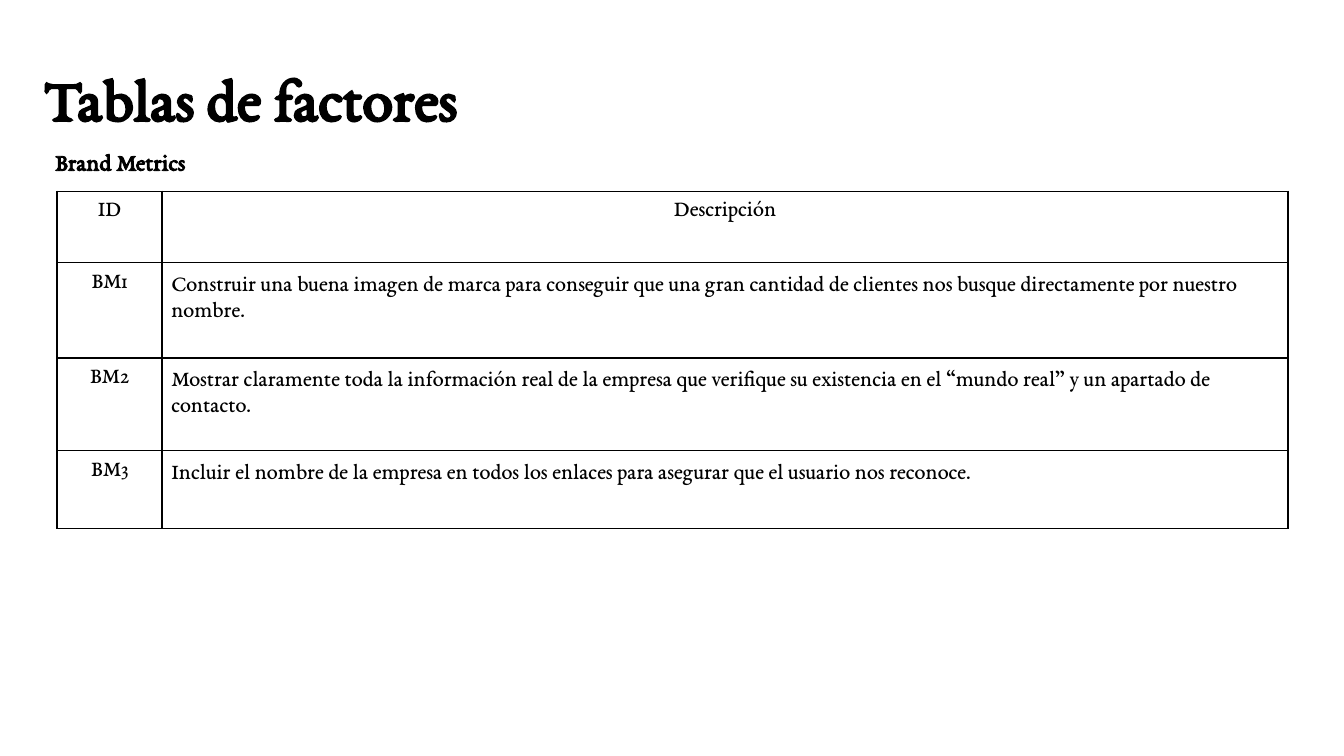
from lxml.etree import SubElement
from pptx import Presentation
from pptx.dml.color import RGBColor
from pptx.enum.text import MSO_ANCHOR as Anchor, PP_ALIGN as Align
from pptx.oxml.ns import qn
from pptx.util import Pt

FONT = "EB Garamond"
BLACK = "000000"
COLUMN_WIDTHS = (56.2, 603.3)
ROW_HEIGHTS = (38.2, 51.1, 49.7, 41.8)
HEADINGS = ("ID", "Descripción")
METRICS = (
    "Construir una buena imagen de marca para conseguir que una gran cantidad "
    "de clientes nos busque directamente por nuestro nombre.",
    "Mostrar claramente toda la información real de la empresa que verifique su "
    "existencia en el “mundo real” y un apartado de contacto.",
    "Incluir el nombre de la empresa en todos los enlaces para asegurar que el "
    "usuario nos reconoce.",
)


def colour(value):
    return RGBColor.from_string(value)


def write(frame, text, size=12, bold=False, align=Align.LEFT, spacing=1.15,
          anchor=Anchor.TOP, inset=7.2):
    frame.word_wrap = True
    frame.vertical_anchor = anchor
    frame.margin_left = frame.margin_right = Pt(inset)
    frame.margin_top = frame.margin_bottom = Pt(inset)
    para = frame.paragraphs[0]
    para.alignment = align
    para.line_spacing = spacing
    span = para.add_run()
    span.text = text
    span.font.name = FONT
    span.font.size = Pt(size)
    span.font.bold = bold
    span.font.color.rgb = colour(BLACK)


def add_title(page, left, top, width, height):
    title = page.shapes.title
    title.left, title.top = Pt(left), Pt(top)
    title.width, title.height = Pt(width), Pt(height)
    write(title.text_frame, "Tablas de factores", size=33, bold=True)


def add_subtitle(page, left, top, width, height):
    box = page.shapes.add_textbox(Pt(left), Pt(top), Pt(width), Pt(height))
    write(box.text_frame, "Brand Metrics", size=13, bold=True, anchor=Anchor.MIDDLE)


def outline(cell):
    properties = cell._tc.get_or_add_tcPr()
    for position, side in enumerate(("lnL", "lnR", "lnT", "lnB")):
        line = SubElement(properties, qn(f"a:{side}"), w=str(Pt(1)))
        fill = SubElement(line, qn("a:solidFill"))
        SubElement(fill, qn("a:srgbClr"), val=BLACK)
        properties.insert(position, line)


def add_metrics_table(page, left, top):
    rows = [HEADINGS] + [(f"BM{n}", text) for n, text in enumerate(METRICS, 1)]
    table = page.shapes.add_table(
        len(rows), len(HEADINGS), Pt(left), Pt(top),
        Pt(sum(COLUMN_WIDTHS)), Pt(sum(ROW_HEIGHTS))).table
    table.first_row = table.horz_banding = False
    for column, width in zip(table.columns, COLUMN_WIDTHS):
        column.width = Pt(width)
    for row, height in zip(table.rows, ROW_HEIGHTS):
        row.height = Pt(height)
    for r, texts in enumerate(rows):
        for c, text in enumerate(texts):
            cell = table.cell(r, c)
            centred = r == 0 or c == 0
            write(cell.text_frame, text,
                  align=Align.CENTER if centred else Align.LEFT,
                  spacing=1.0 if centred else 1.15)
            cell.vertical_anchor = Anchor.TOP
            cell.margin_left = cell.margin_right = Pt(5)
            cell.margin_top = cell.margin_bottom = Pt(5)
            cell.fill.background()
            outline(cell)


def main():
    deck = Presentation()
    deck.slide_width, deck.slide_height = Pt(720), Pt(405)
    page = deck.slides.add_slide(deck.slide_layouts[5])
    page.background.fill.solid()
    page.background.fill.fore_color.rgb = colour("FFFFFF")
    add_title(page, 16, 18.7, 618.5, 61.2)
    add_metrics_table(page, 30.6, 102.5)
    add_subtitle(page, 22.5, 52, 236.2, 66.2)
    deck.save("out.pptx")


if __name__ == "__main__":
    main()
